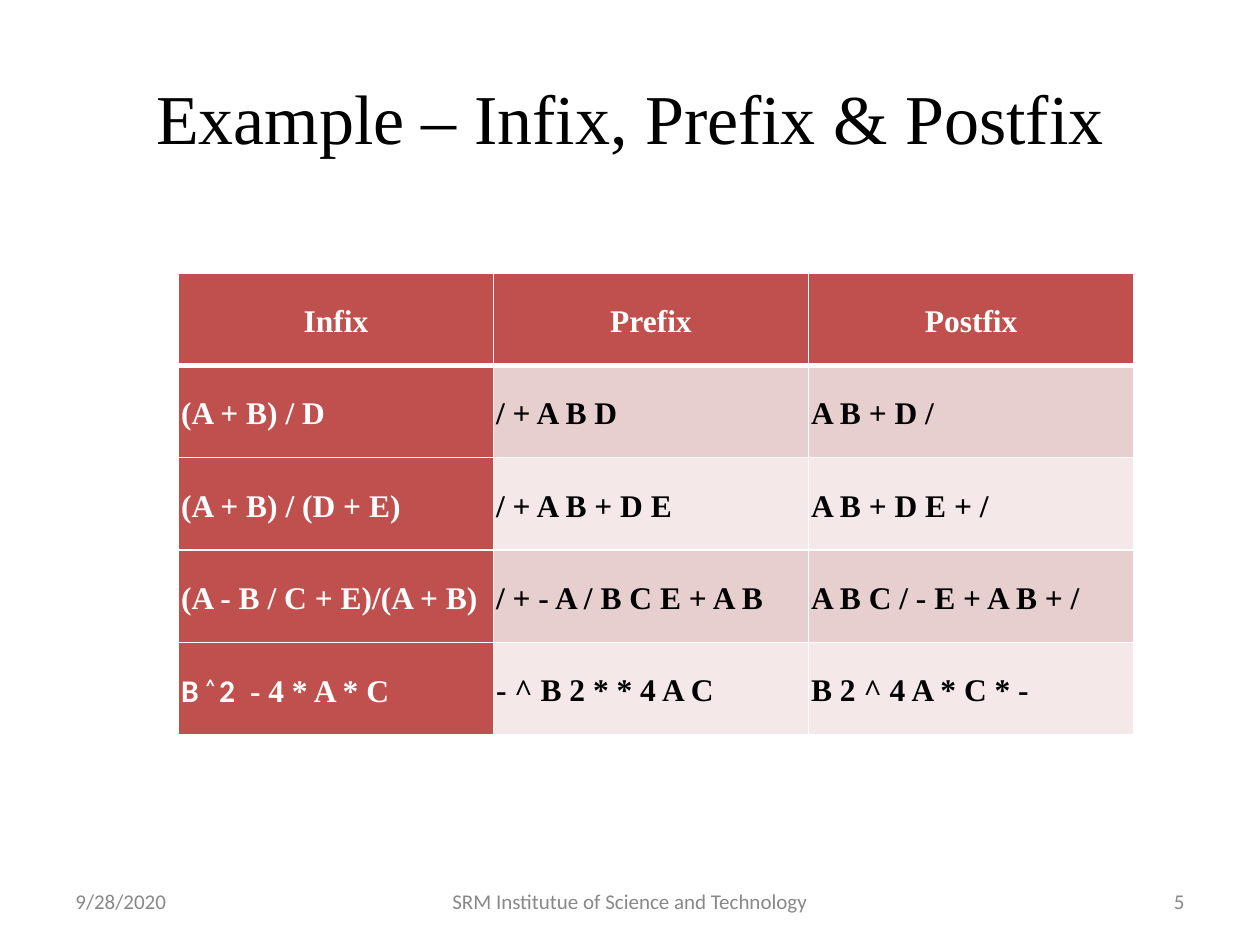
from lxml.etree import SubElement
from pptx import Presentation
from pptx.dml.color import RGBColor as RGB
from pptx.enum.text import MSO_ANCHOR as Anchor, PP_ALIGN as Align
from pptx.oxml.ns import qn
from pptx.util import Pt

THEME = {
    "serif": "Times New Roman", "sans": "Calibri",
    "title": 40, "cell": 18, "footer": 12,
    "ink": "000000", "white": "FFFFFF", "grey": "888888",
    "accent": "C0504D", "bands": ("E8CFCF", "F4E8E8"),
}

TITLE = "Example – Infix, Prefix & Postfix"
SQUARE = [("B ", "sans", 0), ("^ ", "sans", 30000), ("2 ", "sans", 0), (" - 4 * A * C", "serif", 0)]
ROWS = [
    ("Infix", "Prefix", "Postfix"),
    ("(A + B) / D", "/ + A B D", "A B + D /"),
    ("(A + B) / (D + E)", "/ + A B + D E", "A B + D E + /"),
    ("(A - B / C + E)/(A + B)", "/ + - A / B C E + A B", "A B C / - E + A B + /"),
    (SQUARE, "- ^ B 2 * * 4 A C", "B 2 ^ 4 A * C * -"),
]
COL_WIDTHS = (180, 180, 186)
ROW_HEIGHT = 52.8
TABLE_LEFT, TABLE_TOP = 102, 156
FOOTERS = [
    ("9/28/2020", 36, 168, Align.LEFT),
    ("SRM Institutue of Science and Technology", 246, 228, Align.CENTER),
    ("5", 516, 168, Align.RIGHT),
]


def style(r, size, font, color, bold=False):
    f = r.font
    f.size, f.name, f.bold = Pt(THEME[size]), THEME[font], bold
    f.color.rgb = RGB.from_string(color)


def set_borders(cell, row):
    tc_pr = cell._tc.get_or_add_tcPr()
    widths = {"L": 1, "R": 1, "T": 3 if row == 1 else 1, "B": 3 if row == 0 else 1}
    for side, width in widths.items():
        ln = SubElement(tc_pr, qn(f"a:ln{side}"), w=str(Pt(width)))
        fill = SubElement(ln, qn("a:solidFill"))
        SubElement(fill, qn("a:srgbClr"), val=THEME["white"])


def fill_cell(cell, content, row, col):
    head = row == 0 or col == 0
    set_borders(cell, row)
    cell.fill.solid()
    cell.fill.fore_color.rgb = RGB.from_string(
        THEME["accent"] if head else THEME["bands"][(row - 1) % 2])
    cell.vertical_anchor = Anchor.MIDDLE
    cell.margin_left = cell.margin_right = cell.margin_top = cell.margin_bottom = Pt(1.5)
    p = cell.text_frame.paragraphs[0]
    p.alignment = Align.CENTER if row == 0 else Align.LEFT
    p.line_spacing = 1.15
    runs = [(content, "serif", 0)] if isinstance(content, str) else content
    for text, font, baseline in runs:
        r = p.add_run()
        r.text = text
        style(r, "cell", font, THEME["white" if head else "ink"], True)
        if baseline:
            r.font._element.set("baseline", str(baseline))


def add_title(s):
    sp = s.shapes.title
    sp.left, sp.top, sp.width, sp.height = Pt(36), Pt(21.6), Pt(648), Pt(90)
    tf = sp.text_frame
    tf.text = TITLE
    tf.vertical_anchor = Anchor.MIDDLE
    p = tf.paragraphs[0]
    p.alignment = Align.CENTER
    style(p.runs[0], "title", "serif", THEME["ink"])


def add_table(s):
    frame = s.shapes.add_table(len(ROWS), len(COL_WIDTHS), Pt(TABLE_LEFT), Pt(TABLE_TOP),
                               Pt(sum(COL_WIDTHS)), Pt(ROW_HEIGHT * len(ROWS)))
    table = frame.table
    for column, width in zip(table.columns, COL_WIDTHS):
        column.width = Pt(width)
    for i, row in enumerate(ROWS):
        table.rows[i].height = Pt(ROW_HEIGHT)
        for j, content in enumerate(row):
            fill_cell(table.cell(i, j), content, i, j)


def add_footers(s):
    for text, left, width, align in FOOTERS:
        tf = s.shapes.add_textbox(Pt(left), Pt(500.5), Pt(width), Pt(28.75)).text_frame
        tf.word_wrap = True
        tf.vertical_anchor = Anchor.MIDDLE
        tf.text = text
        p = tf.paragraphs[0]
        p.alignment = align
        style(p.runs[0], "footer", "sans", THEME["grey"])


def main():
    prs = Presentation()
    prs.slide_width, prs.slide_height = Pt(720), Pt(540)
    s = prs.slides.add_slide(prs.slide_layouts[5])
    add_title(s)
    add_table(s)
    add_footers(s)
    prs.save("out.pptx")


if __name__ == "__main__":
    main()
